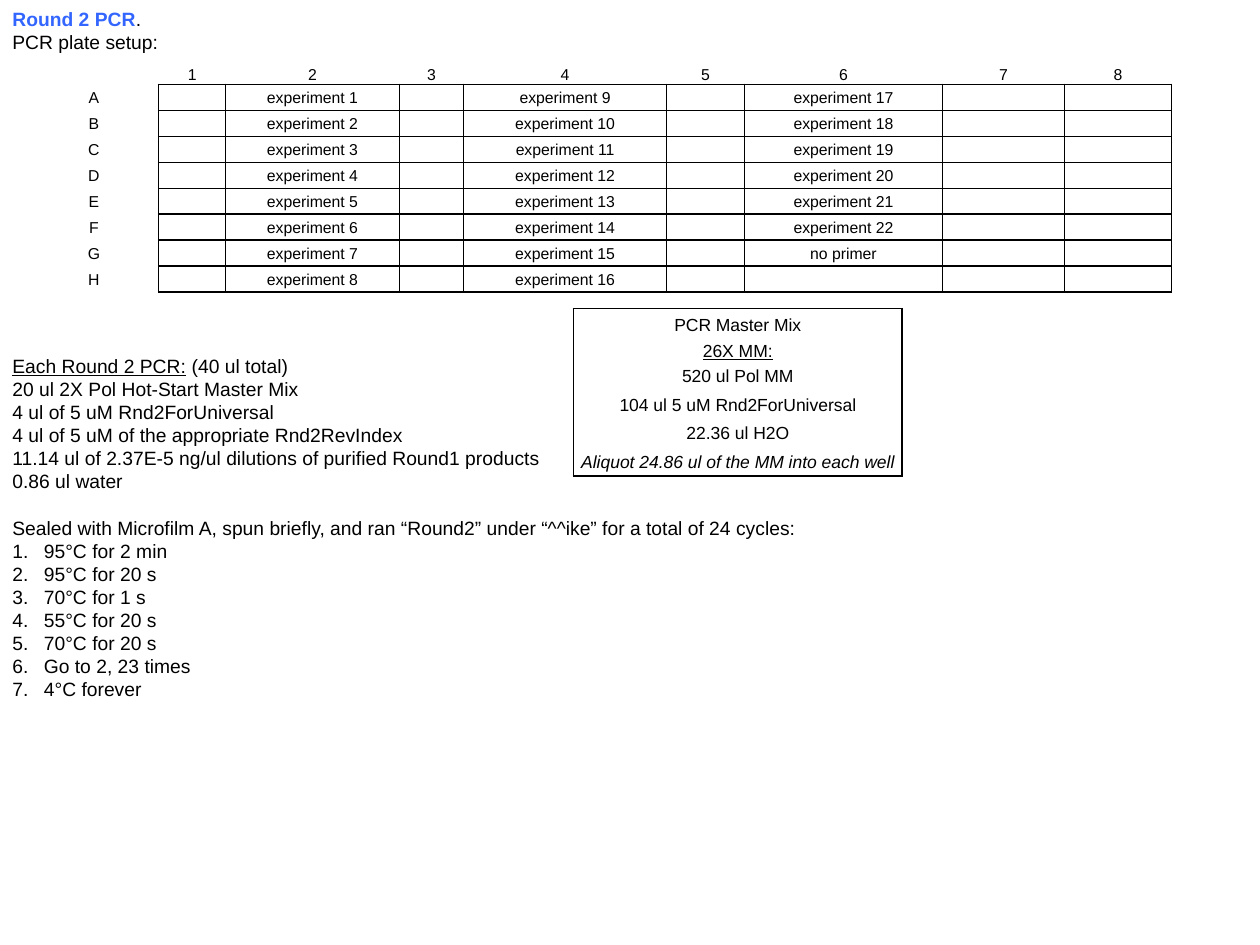
from lxml import etree
from pptx import Presentation
from pptx.dml.color import RGBColor
from pptx.enum.text import MSO_ANCHOR, PP_ALIGN
from pptx.oxml.ns import qn
from pptx.util import Inches, Pt

BLACK = RGBColor(0, 0, 0)
BLUE = RGBColor(0x33, 0x66, 0xFF)
CENTER = PP_ALIGN.CENTER
MIDDLE, BOTTOM = MSO_ANCHOR.MIDDLE, MSO_ANCHOR.BOTTOM
PITCH = 13.2

RECIPE = [
    "20 ul 2X Pol Hot-Start Master Mix",
    "4 ul of 5 uM Rnd2ForUniversal",
    "4 ul of 5 uM of the appropriate Rnd2RevIndex",
    "11.14 ul of 2.37E-5 ng/ul dilutions of purified Round1 products",
    "0.86 ul water",
]
STEPS = ["95°C for 2 min", "95°C for 20 s", "70°C for 1 s", "55°C for 20 s",
         "70°C for 20 s", "Go to 2, 23 times", "4°C forever"]
MIX = ["PCR Master Mix", "26X MM:", "520 ul Pol MM",
       "104 ul 5 uM Rnd2ForUniversal", "22.36 ul H2O",
       "Aliquot 24.86 ul of the MM into each well"]


class Sheet:
    def __init__(self, slide, face="Arial"):
        self.slide = slide
        self.face = face

    def style(self, para, size):
        font = para.font
        font.name, font.size = self.face, Pt(size)
        font.color.rgb = BLACK

    def box(self, x, y, w, h):
        frame = self.slide.shapes.add_textbox(
            Inches(x), Inches(y), Inches(w), Inches(h)).text_frame
        frame.word_wrap = True
        return frame

    def line(self, frame, *parts, gap=0):
        """Add a paragraph; gap counts the empty lines above it."""
        para = frame.paragraphs[0]
        if para.runs:
            para = frame.add_paragraph()
        self.style(para, 11)
        para.line_spacing = Pt(PITCH)
        para.space_before = Pt(gap * PITCH)
        for part in parts:
            para.add_run().text = part
        return para

    def number(self, para):
        props = para._p.get_or_add_pPr()
        props.set("marL", str(Inches(0.25)))
        props.set("indent", str(-Inches(0.25)))
        mark = etree.Element(qn("a:buAutoNum"), type="arabicPeriod")
        props.find(qn("a:defRPr")).addprevious(mark)

    def table(self, x, y, cols, rows):
        frame = self.slide.shapes.add_table(
            len(rows), len(cols), Inches(x), Inches(y),
            Inches(sum(cols)), Inches(sum(rows)))
        grid = frame.table
        grid.first_row = grid.horz_banding = False
        for col, width in zip(grid.columns, cols):
            col.width = Inches(width)
        for row, height in zip(grid.rows, rows):
            row.height = Inches(height)
        return grid

    def cell(self, cell, text, size, anchor, sides, pad=0.0):
        cell.fill.background()
        cell.margin_left = cell.margin_right = Inches(0.01)
        cell.margin_top = Inches(pad or 0.01)
        cell.margin_bottom = Inches(pad)
        cell.vertical_anchor = anchor
        para = cell.text_frame.paragraphs[0]
        para.alignment = CENTER
        self.style(para, size)
        if text:
            para.add_run().text = text
        else:
            para._p.get_or_add_endParaRPr().set("sz", str(size * 100))
        self.border(cell, sides)
        return para

    def border(self, cell, sides):
        """Draw the named sides (L, R, T, B) and clear the others."""
        props = cell._tc.get_or_add_tcPr()
        for i, side in enumerate("LRTB"):
            line = etree.Element(qn("a:ln" + side), w=str(Pt(1)))
            if side in sides:
                fill = etree.SubElement(line, qn("a:solidFill"))
                etree.SubElement(fill, qn("a:srgbClr"), val=str(BLACK))
            else:
                etree.SubElement(line, qn("a:noFill"))
            props.insert(i, line)


def notes(sheet):
    frame = sheet.box(0, 0.01, 10, 5.84)
    title = sheet.line(frame, "Round 2 PCR", ".").runs[0].font
    title.bold = True
    title.color.rgb = BLUE
    sheet.line(frame, "PCR plate setup:")
    head = sheet.line(frame, "Each Round 2 PCR:", " (40 ul total)", gap=13)
    head.runs[0].font.underline = True
    for text in RECIPE:
        sheet.line(frame, text)
    sheet.line(frame, "Sealed with Microfilm A, spun briefly, and ran “Round2” "
               "under “^^ike” for a total of 24 cycles:", gap=1)
    for text in STEPS:
        sheet.number(sheet.line(frame, text))


def well(row, col):
    """Text of a plate well: samples fill columns 2, 4 and 6 downwards."""
    if col not in (2, 4, 6):
        return ""
    num = (col // 2 - 1) * 8 + row
    if num <= 22:
        return f"experiment {num}"
    return "no primer" if num == 23 else ""


def plate(sheet):
    cols = [1.03, 0.53, 1.38, 0.51, 1.61, 0.62, 1.57, 0.97, 0.85]
    grid = sheet.table(0.23, 0.51, cols, [0.16] + [0.206] * 8)
    for r in range(9):
        for c in range(9):
            if r == 0:
                text, sides = (str(c), "B") if c else ("", "")
            elif c == 0:
                text, sides = "ABCDEFGH"[r - 1], "R"
            else:
                text, sides = well(r, c), "LRTB"
            sheet.cell(grid.cell(r, c), text, 9, MIDDLE, sides)


def mix(sheet):
    grid = sheet.table(4.55, 2.45, [2.61], [0.21] * 2 + [0.22] * 4)
    last = len(MIX) - 1
    for r, text in enumerate(MIX):
        sides = "LR" + {0: "T", last: "B"}.get(r, "")
        para = sheet.cell(grid.cell(r, 0), text, 10, BOTTOM, sides,
                          0.03 if r > 1 else 0.0)
        if r == 1:
            para.font.underline = True
        if r == last:
            para.font.italic = True


def main():
    deck = Presentation()
    deck.slide_width, deck.slide_height = Inches(10), Inches(7.5)
    sheet = Sheet(deck.slides.add_slide(deck.slide_layouts[6]))
    notes(sheet)
    plate(sheet)
    mix(sheet)
    deck.save("out.pptx")


if __name__ == "__main__":
    main()
